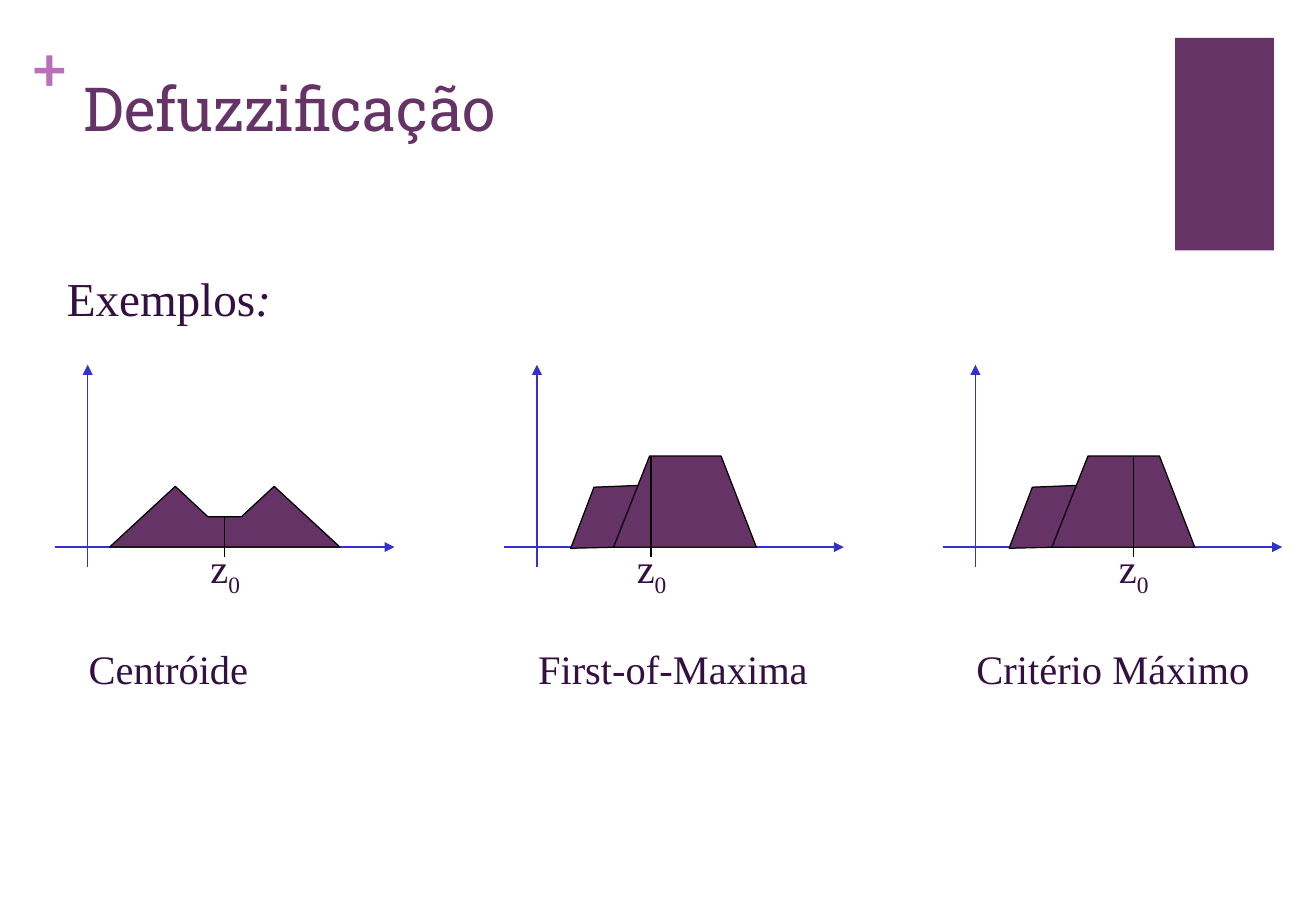
from lxml import etree
from pptx import Presentation
from pptx import util as u
from pptx.dml.color import RGBColor
from pptx.enum import shapes, text
from pptx.oxml import ns

PURPLE = RGBColor(0x66, 0x33, 0x66)
LILAC = RGBColor(0xB8, 0x70, 0xB8)
INK = RGBColor(0x33, 0x0F, 0x42)
AXIS_BLUE = RGBColor(0x33, 0x33, 0xCC)
BLACK = RGBColor(0, 0, 0)
SERIF = "Times New Roman"

BASELINE = 324.3
TICK_END = 330
TWIN_PEAKS = [(13, 324.3), (52, 288.3), (71.3, 306.3), (91.2, 306.3),
              (110.6, 288.3), (149.6, 324.3)]
LOW_TRAPEZOID = [(20, 325), (33.8, 288.8), (63.4, 287.6), (78.5, 323.6)]
HIGH_TRAPEZOID = [(45.4, 324.3), (66.8, 270.3), (109.2, 270.3), (130.1, 324.3)]
TRAPEZOIDS = [LOW_TRAPEZOID, HIGH_TRAPEZOID]

METHODS = [
    ("Centróide", 52, [TWIN_PEAKS], 81.2, 306.3),
    ("First-of-Maxima", 318.5, TRAPEZOIDS, 67.6, 270.5),
    ("Critério Máximo", 578.5, TRAPEZOIDS, 93.6, 270.5),
]


def format_run(run, size, color, font=SERIF):
    run.font.size = u.Pt(size)
    run.font.name = font
    run.font.color.rgb = color


def add_label(slide, words, box, size, color=INK, font=SERIF, inset=(7.2, 3.6)):
    label = slide.shapes.add_textbox(*map(u.Pt, box))
    frame = label.text_frame
    frame.word_wrap = True
    frame.margin_left = frame.margin_right = u.Pt(inset[0])
    frame.margin_top = frame.margin_bottom = u.Pt(inset[1])
    frame.text = words[0]
    paragraph = frame.paragraphs[0]
    for extra in words[1:]:
        paragraph.add_run().text = extra
    for run in paragraph.runs:
        format_run(run, size, color, font)
    return paragraph.runs


def add_line(slide, start, end, color, arrow=False):
    line = slide.shapes.add_connector(
        shapes.MSO_CONNECTOR.STRAIGHT, *map(u.Pt, (*start, *end)))
    line.line.color.rgb = color
    line.line.width = u.Pt(0.75)
    properties = line.element.spPr
    if arrow:
        outline = properties.find(ns.qn("a:ln"))
        etree.SubElement(outline, ns.qn("a:tailEnd"), type="triangle")
    etree.SubElement(properties, ns.qn("a:effectLst"))


def add_fuzzy_set(slide, origin, corners):
    points = [(u.Pt(origin + x), u.Pt(y)) for x, y in corners]
    builder = slide.shapes.build_freeform(*points[0])
    builder.add_line_segments(points[1:], close=True)
    area = builder.convert_to_shape()
    area.shadow.inherit = False
    area.fill.solid()
    area.fill.fore_color.rgb = PURPLE
    area.line.color.rgb = BLACK
    area.line.width = u.Pt(0.75)


def add_method(slide, caption, origin, fuzzy_sets, z_offset, z_top):
    add_line(slide, (origin, 336.3), (origin, 216.2), AXIS_BLUE, arrow=True)
    add_line(slide, (origin - 19.5, BASELINE), (origin + 182, BASELINE),
             AXIS_BLUE, arrow=True)
    for corners in fuzzy_sets:
        add_fuzzy_set(slide, origin, corners)
    z = origin + z_offset
    add_line(slide, (z, z_top), (z, TICK_END), BLACK)
    z_runs = add_label(slide, ["z", "0"], (z - 15.5, 318.5, 52, 40), 24)
    z_runs[1]._r.get_or_add_rPr().set("baseline", "-25000")
    add_label(slide, [caption], (origin - 6.5, 378.3, 195, 36), 24)


def add_decoration(slide):
    banner = slide.shapes.add_shape(
        shapes.MSO_SHAPE.RECTANGLE, *map(u.Pt, (697, 22.5, 58.5, 126)))
    banner.shadow.inherit = False
    banner.fill.solid()
    banner.fill.fore_color.rgb = PURPLE
    banner.line.fill.background()
    plus = add_label(slide, ["+"], (19, 18, 22.5, 43), 36, LILAC, "Lato", (0, 0))
    plus[0].font.bold = True


def set_title(slide, heading):
    title = slide.shapes.title
    title.left, title.top, title.width, title.height = map(u.Pt, (42.5, 38.2, 644.5, 88))
    frame = title.text_frame
    frame.text = heading
    frame.vertical_anchor = text.MSO_ANCHOR.TOP
    frame.paragraphs[0].alignment = text.PP_ALIGN.LEFT
    format_run(frame.paragraphs[0].runs[0], 36, PURPLE, "Roboto Slab")


def main():
    deck = Presentation()
    deck.slide_width, deck.slide_height = u.Pt(780.48), u.Pt(540)
    slide = deck.slides.add_slide(deck.slide_layouts.get_by_name("Title Only"))
    set_title(slide, "Defuzzificação")
    add_decoration(slide)
    examples = add_label(slide, ["Exemplos", ":"], (32.5, 156.2, 331, 41), 28)
    examples[1].font.italic = True
    for method in METHODS:
        add_method(slide, *method)
    deck.save("out.pptx")


if __name__ == "__main__":
    main()
